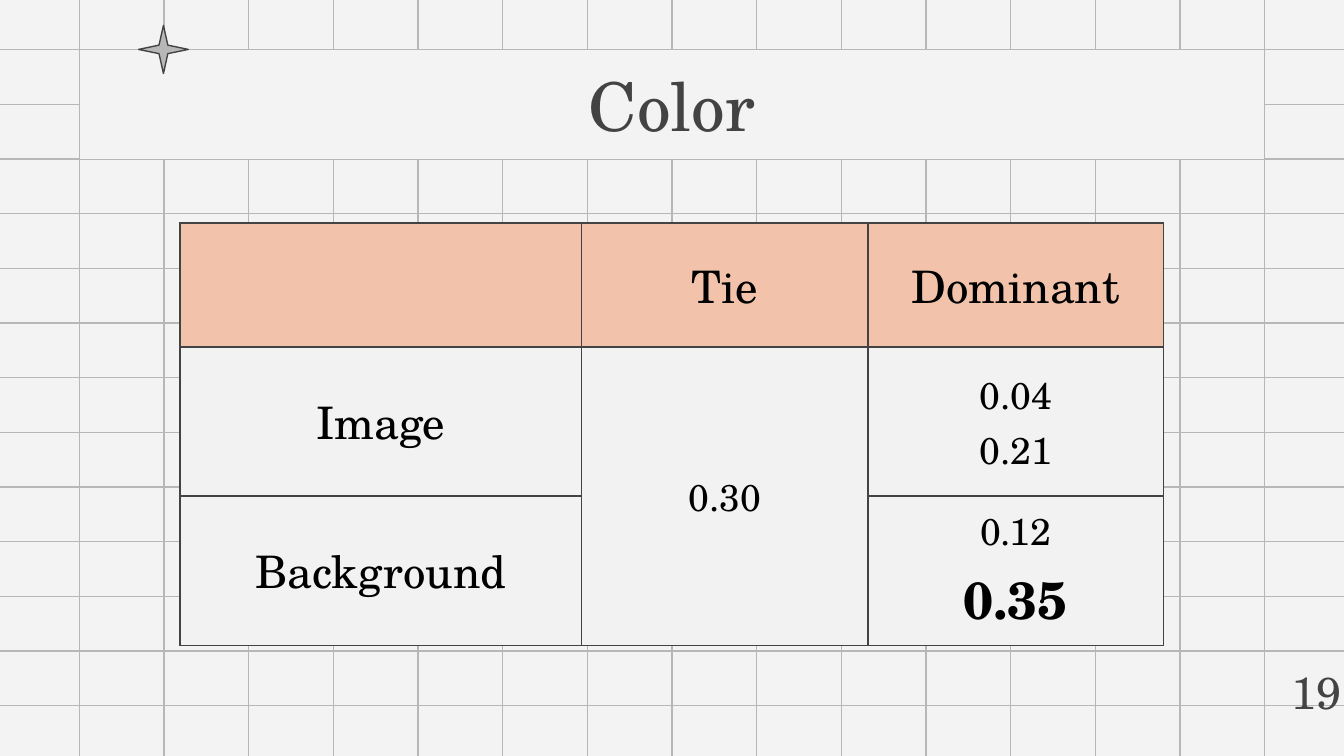
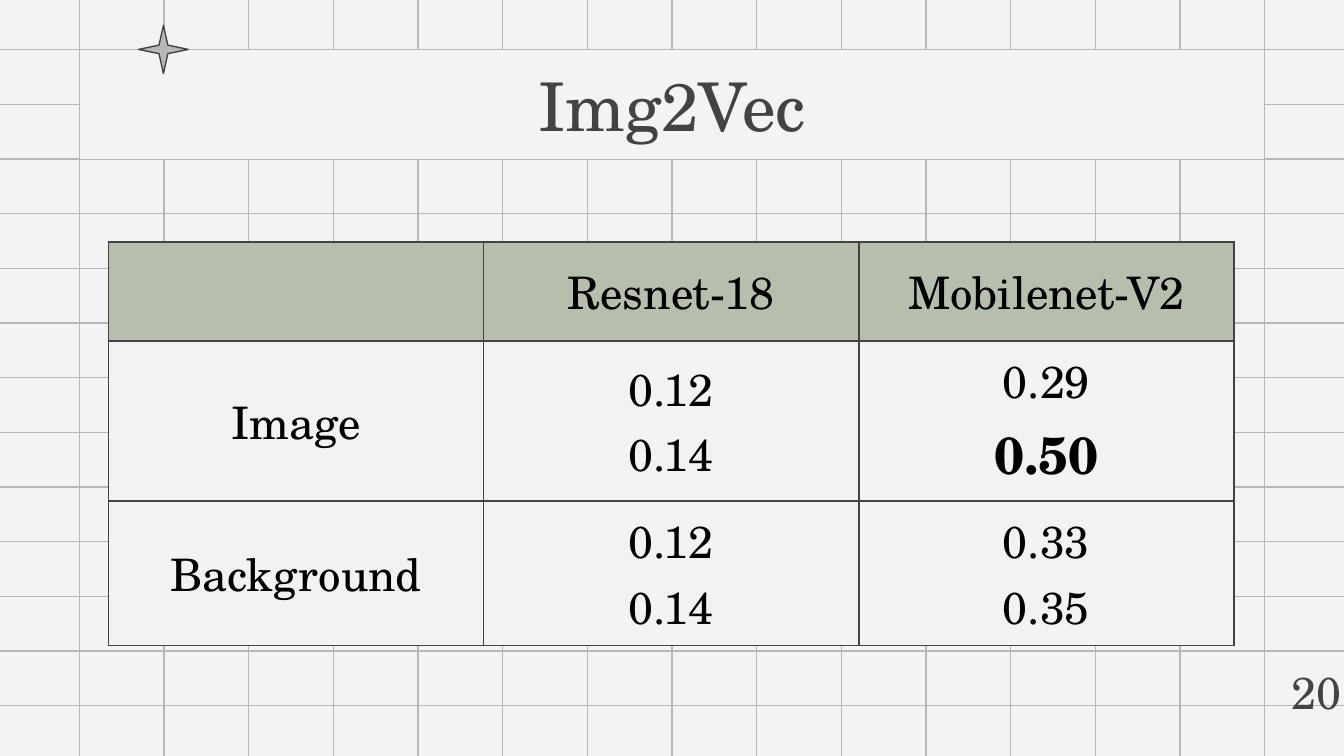
from dataclasses import dataclass
from itertools import pairwise

from lxml.etree import SubElement
from pptx import Presentation
from pptx.dml.color import RGBColor
from pptx.enum.shapes import MSO_CONNECTOR, MSO_SHAPE
from pptx.enum.text import MSO_ANCHOR, MSO_AUTO_SIZE, PP_ALIGN
from pptx.oxml import parse_xml
from pptx.oxml.ns import nsdecls, qn
from pptx.util import Cm, Pt


# Theme
@dataclass(frozen=True)
class Theme:
    font: str = "TeX Gyre Schola"
    paper: str = "F3F3F3"
    grid: str = "B7B7B7"
    ink: str = "434343"
    text: str = "000000"
    cell: str = "F2F2F2"
    peach: str = "F2C2AB"
    sage: str = "B6BFAD"
    head: int = 36
    top: int = 28
    body: int = 24
    small: int = 20
    thin: float = 0.75
    edge: float = 1


LOOK = Theme()


@dataclass(frozen=True)
class Box:
    left: float
    top: float
    width: float
    height: float

    def cm(self) -> tuple:
        return Cm(self.left), Cm(self.top), Cm(self.width), Cm(self.height)


@dataclass(frozen=True)
class Line:
    text: str
    size: int = LOOK.body
    bold: bool = False


@dataclass(frozen=True)
class Grid:
    left: float
    top: float
    cols: tuple
    rows: tuple
    tint: str
    cells: tuple
    merge: tuple = ()


@dataclass(frozen=True)
class Page:
    title: str
    number: str
    wide: float
    grid: Grid


BAND = Box(1.5, 0.94, 22.4, 2.07)
STAR = Box(2.62, 0.48, 0.94, 0.91)
MID_X, MID_Y = 12.7, 7.14
STEPS_X, STEPS_Y = 7, 6
ENDS_X = (-0.1, MID_X, 25.5)
ENDS_Y = (-0.08, MID_Y, 14.37)


# Content
def small(*texts: str) -> tuple:
    return tuple(Line(text, LOOK.small) for text in texts)


def body(*texts: str) -> tuple:
    return tuple(Line(text) for text in texts)


def best(text: str) -> tuple:
    return (Line(text, LOOK.top, True),)


PAGES = (
    Page("Color", "19", 1.46, Grid(
        3.4, 4.22, (7.59, 5.41, 5.59), (2.34, 2.82, 2.82), LOOK.peach,
        (((), body("Tie"), body("Dominant")),
         (body("Image"), small("0.30"), small("0.04", "0.21")),
         (body("Background"), (), small("0.12") + best("0.35"))),
        merge=((1, 1), (2, 1)))),
    Page("Img2Vec", "20", 1.7, Grid(
        2.05, 4.57, (7.09,) * 3, (1.88,) * 3, LOOK.sage,
        (((), body("Resnet-18"), body("Mobilenet-V2")),
         (body("Image"), body("0.12", "0.14"), body("0.29") + best("0.50")),
         (body("Background"), body("0.12", "0.14"), body("0.33", "0.35"))))),
)


# Helpers
def rgb(code: str) -> RGBColor:
    return RGBColor.from_string(code)


def paint(shape, fill: str, line: str) -> None:
    shape.fill.solid()
    shape.fill.fore_color.rgb = rgb(fill)
    shape.line.color.rgb = rgb(line)
    shape.line.width = Pt(LOOK.thin)


def write(para, line: Line, color: str) -> None:
    run = para.add_run()
    run.text = line.text
    font = run.font
    font.name, font.size, font.bold = LOOK.font, Pt(line.size), line.bold
    font.color.rgb = rgb(color)


def frame(shape):
    text = shape.text_frame
    text.word_wrap = True
    text.auto_size = MSO_AUTO_SIZE.NONE
    text.vertical_anchor = MSO_ANCHOR.MIDDLE
    text.margin_left = text.margin_right = Cm(0.25)
    text.margin_top = text.margin_bottom = Cm(0.25)
    return text


def rule(slide, x1: float, y1: float, x2: float, y2: float):
    line = slide.shapes.add_connector(
        MSO_CONNECTOR.STRAIGHT, Cm(x1), Cm(y1), Cm(x2), Cm(y2))
    line.line.color.rgb = rgb(LOOK.grid)
    line.line.width = Pt(LOOK.thin)
    SubElement(line.element.spPr, qn("a:effectLst"))
    return line


def edge(cell) -> None:
    props = cell._tc.get_or_add_tcPr()
    for spot, side in enumerate("LRTB"):
        props.insert(spot, parse_xml(
            f'<a:ln{side} {nsdecls("a")} w="{Pt(LOOK.edge)}"><a:solidFill>'
            f'<a:srgbClr val="{LOOK.ink}"/></a:solidFill></a:ln{side}>'))


# Shared paper: background and grid lines, kept on the layout
def lay_paper(layout, slide) -> None:
    layout.background.fill.solid()
    layout.background.fill.fore_color.rgb = rgb(LOOK.paper)
    for spare in list(layout.placeholders):
        if spare.placeholder_format.idx:
            spare.element.getparent().remove(spare.element)

    pitch_x = (MID_X - BAND.left) / STEPS_X
    pitch_y = (MID_Y - BAND.top) / STEPS_Y
    lines = []
    for step in range(-STEPS_X, STEPS_X + 1):
        x = MID_X + step * pitch_x
        lines += [rule(slide, x, a, x, b) for a, b in pairwise(ENDS_Y)]
    for step in range(-STEPS_Y, STEPS_Y + 1):
        y = MID_Y + step * pitch_y
        lines += [rule(slide, a, y, b, y) for a, b in pairwise(ENDS_X)]
    for line in lines:
        layout.shapes.element.append(line.element)


# Slide parts
def add_title(slide, text: str) -> None:
    title = slide.shapes.title
    title.left, title.top, title.width, title.height = BAND.cm()
    paint(title, LOOK.paper, LOOK.grid)
    para = frame(title).paragraphs[0]
    para.alignment = PP_ALIGN.CENTER
    write(para, Line(text, LOOK.head), LOOK.ink)


def add_star(slide) -> None:
    star = slide.shapes.add_shape(MSO_SHAPE.STAR_4_POINT, *STAR.cm())
    star.adjustments[0] = 0.125
    star.shadow.inherit = False
    paint(star, LOOK.grid, LOOK.ink)


def add_grid(slide, grid: Grid) -> None:
    area = Box(grid.left, grid.top, sum(grid.cols), sum(grid.rows))
    table = slide.shapes.add_table(
        len(grid.rows), len(grid.cols), *area.cm()).table
    table.first_row = table.horz_banding = False
    for col, width in zip(table.columns, grid.cols):
        col.width = Cm(width)
    for row, height in zip(table.rows, grid.rows):
        row.height = Cm(height)
    for r, row in enumerate(grid.cells):
        for c, lines in enumerate(row):
            cell = table.cell(r, c)
            cell.vertical_anchor = MSO_ANCHOR.MIDDLE
            cell.fill.solid()
            cell.fill.fore_color.rgb = rgb(LOOK.cell if r else grid.tint)
            edge(cell)
            text = cell.text_frame
            for n, line in enumerate(lines):
                para = text.add_paragraph() if n else text.paragraphs[0]
                para.alignment = PP_ALIGN.CENTER
                write(para, line, LOOK.text)
    if grid.merge:
        start, end = grid.merge
        table.cell(*start).merge(table.cell(*end))


def add_number(slide, text: str, wide: float) -> None:
    box = slide.shapes.add_textbox(*Box(24.16, 12.57, wide, 1.02).cm())
    para = frame(box).paragraphs[0]
    para.space_after = Pt(12)
    write(para, Line(text), LOOK.ink)


def main() -> None:
    deck = Presentation()
    deck.slide_width, deck.slide_height = Cm(25.4), Cm(14.29)
    layout = deck.slide_layouts[5]
    for n, page in enumerate(PAGES):
        slide = deck.slides.add_slide(layout)
        if n == 0:
            lay_paper(layout, slide)
        add_title(slide, page.title)
        add_star(slide)
        add_grid(slide, page.grid)
        add_number(slide, page.number, page.wide)
    deck.save("out.pptx")


if __name__ == "__main__":
    main()
